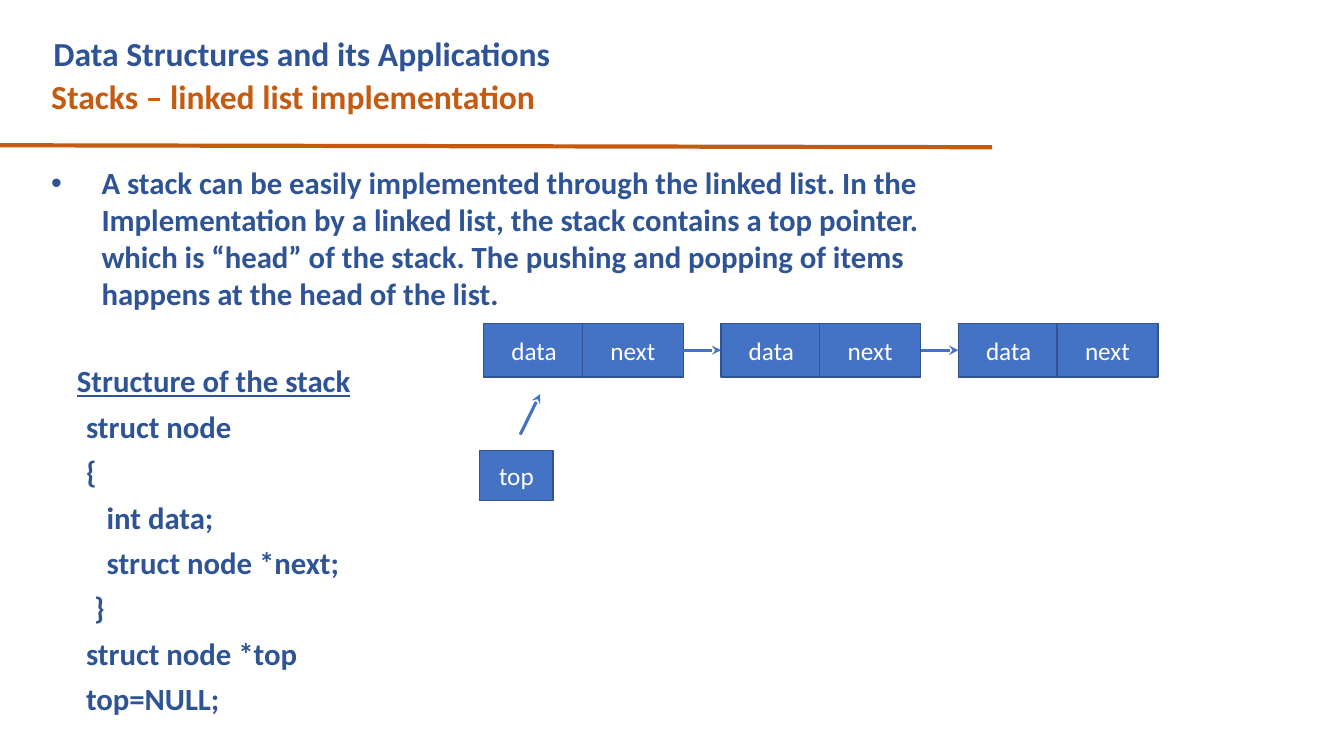
from lxml import etree
from pptx import Presentation
from pptx.dml.color import RGBColor
from pptx.enum.shapes import MSO_CONNECTOR, MSO_SHAPE
from pptx.enum.text import MSO_ANCHOR, MSO_AUTO_SIZE, PP_ALIGN
from pptx.oxml.ns import qn
from pptx.util import Cm, Pt

STRAIGHT = MSO_CONNECTOR.STRAIGHT
RECTANGLE = MSO_SHAPE.RECTANGLE
TOP, MIDDLE = MSO_ANCHOR.TOP, MSO_ANCHOR.MIDDLE
LEFT, CENTER = PP_ALIGN.LEFT, PP_ALIGN.CENTER
NO_AUTOFIT = MSO_AUTO_SIZE.NONE

NAVY = RGBColor(0x2F, 0x54, 0x96)
ORANGE = RGBColor(0xC5, 0x5A, 0x11)
BLUE = RGBColor(0x44, 0x72, 0xC4)
EDGE = RGBColor(0x31, 0x53, 0x8F)
WHITE = RGBColor(0xFF, 0xFF, 0xFF)
FONT = "Calibri"

INTRO = (
    "A stack can be easily implemented through the linked list. In the "
    "Implementation by a linked list, the stack contains a top pointer. "
    "which is “head” of the stack. The pushing and popping of items "
    "happens at the head of the list."
)
CODE = [
    ("struct node", 1.13),
    ("{", 1.13),
    ("int data;", 1.65),
    ("struct node *next;", 1.65),
    ("}", 1.33),
    ("struct node *top", 1.13),
    ("top=NULL;", 1.13),
]
NODE_LEFT, NODE_TOP, NODE_STEP = 12.19, 8.15, 5.98
CELL_WIDTH, CELL_HEIGHT, CELL_STEP = 2.54, 1.35, 2.49


def style(p, size, color, bold=False):
    for r in p.runs:
        r.font.name = FONT
        r.font.size = Pt(size)
        r.font.bold = bold
        r.font.color.rgb = color


def place(s, left, top, width, height):
    s.left, s.top, s.width, s.height = Cm(left), Cm(top), Cm(width), Cm(height)


def write_heading(s, text, color):
    tf = s.text_frame
    tf.text = text
    tf.word_wrap = True
    tf.auto_size = NO_AUTOFIT
    tf.vertical_anchor = TOP
    tf.paragraphs[0].alignment = LEFT
    style(tf.paragraphs[0], 24, color, True)


def indent(p, margin, first=0):
    pPr = p._p.get_or_add_pPr()
    pPr.set("marL", str(Cm(margin)))
    pPr.set("indent", str(Cm(first)))
    return pPr


def add_bullet(p):
    pPr = indent(p, 1.52, -1.27)
    color = etree.SubElement(pPr, qn("a:buClr"))
    etree.SubElement(color, qn("a:srgbClr"), val=str(NAVY))
    etree.SubElement(pPr, qn("a:buFont"), typeface="Arial")
    etree.SubElement(pPr, qn("a:buChar"), char="•")


def add_line(shapes, x1, y1, x2, y2, color, width, arrow=False):
    s = shapes.add_connector(STRAIGHT, Cm(x1), Cm(y1), Cm(x2), Cm(y2))
    s.line.color.rgb = color
    s.line.width = Pt(width)
    if arrow:
        etree.SubElement(s.line._get_or_add_ln(), qn("a:tailEnd"), type="stealth")
    etree.SubElement(s._element.spPr, qn("a:effectLst"))
    return s


def add_cell(shapes, text, left, top, width=CELL_WIDTH, height=CELL_HEIGHT):
    s = shapes.add_shape(RECTANGLE, Cm(left), Cm(top), Cm(width), Cm(height))
    s.shadow.inherit = False
    s.fill.solid()
    s.fill.fore_color.rgb = BLUE
    s.line.color.rgb = EDGE
    s.line.width = Pt(1)
    tf = s.text_frame
    tf.text = text
    tf.vertical_anchor = MIDDLE
    tf.paragraphs[0].alignment = CENTER
    style(tf.paragraphs[0], 18, WHITE)
    return s


def add_body(shapes):
    s = shapes.add_textbox(Cm(0.79), Cm(4.06), Cm(24.16), Cm(14.07))
    tf = s.text_frame
    tf.word_wrap = True
    tf.vertical_anchor = MIDDLE
    tf.margin_top = tf.margin_bottom = 0
    tf.text = INTRO
    add_bullet(tf.paragraphs[0])

    p = tf.add_paragraph()
    p.text = "Structure of the stack"
    p.space_before = Pt(36)
    indent(p, 0.9)
    p.runs[0].font.underline = True

    for text, margin in CODE:
        p = tf.add_paragraph()
        p.text = text
        p.space_before = Pt(6)
        indent(p, margin)
    for p in tf.paragraphs:
        style(p, 22, NAVY, True)


def add_linked_list(shapes, count):
    previous = None
    for i in range(count):
        left = NODE_LEFT + i * NODE_STEP
        data = add_cell(shapes, "data", left, NODE_TOP)
        following = add_cell(shapes, "next", left + CELL_STEP, NODE_TOP)
        if previous:
            link = add_line(shapes, 0, 0, 1, 1, BLUE, 2.25, True)
            link.begin_connect(previous, 3)
            link.end_connect(data, 1)
        previous = following


def main():
    prs = Presentation()
    prs.slide_width, prs.slide_height = Cm(33.87), Cm(19.05)
    slide = prs.slides.add_slide(prs.slide_layouts[5])
    shapes = slide.shapes

    place(shapes.title, 1.09, 0.71, 20.83, 1.27)
    write_heading(shapes.title, "Data Structures and its Applications", NAVY)
    subtitle = shapes.add_textbox(Cm(1.04), Cm(1.8), Cm(22.23), Cm(1.27))
    write_heading(subtitle, "Stacks – linked list implementation", ORANGE)
    add_line(shapes, 0, 3.66, 25, 3.71, ORANGE, 3)

    add_body(shapes)
    add_linked_list(shapes, 3)
    add_cell(shapes, "top", 12.09, 11.35, 1.85, 1.27)
    add_line(shapes, 13.11, 10.95, 13.61, 9.93, BLUE, 2.25, True)

    prs.save("out.pptx")


if __name__ == "__main__":
    main()
